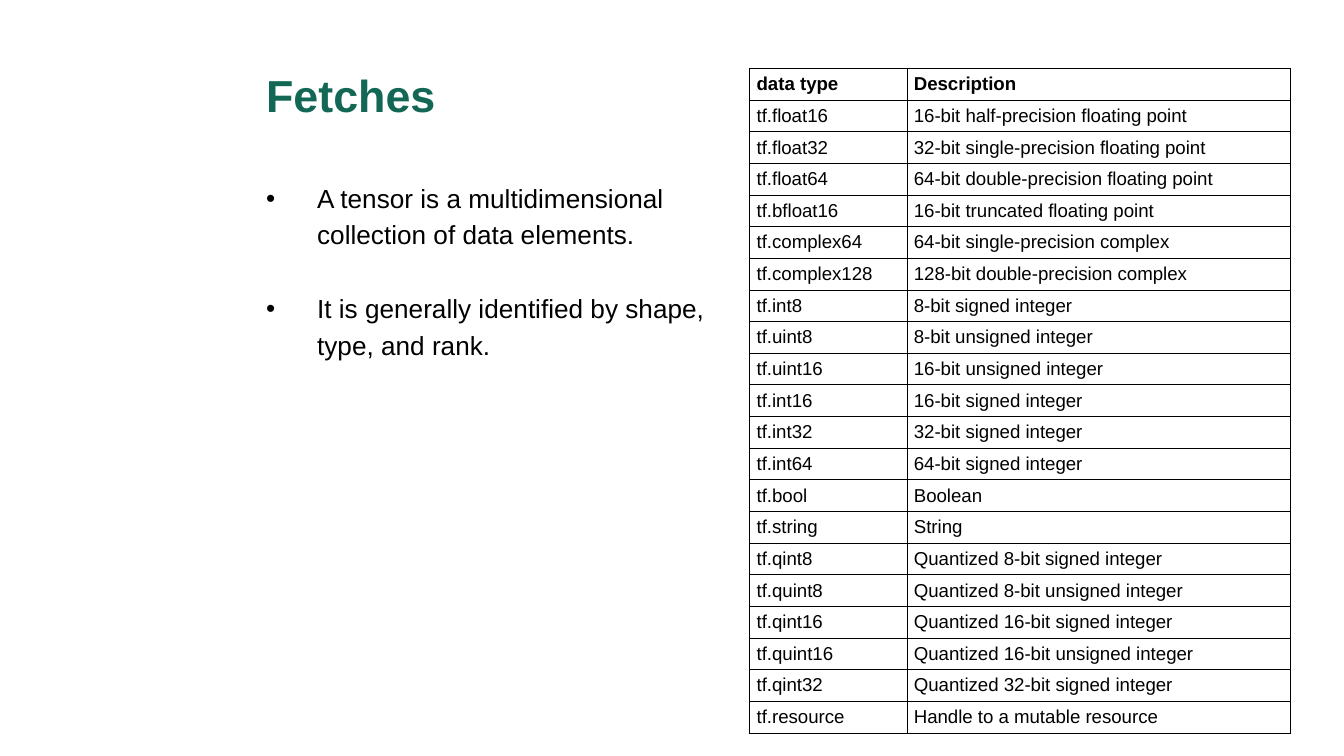
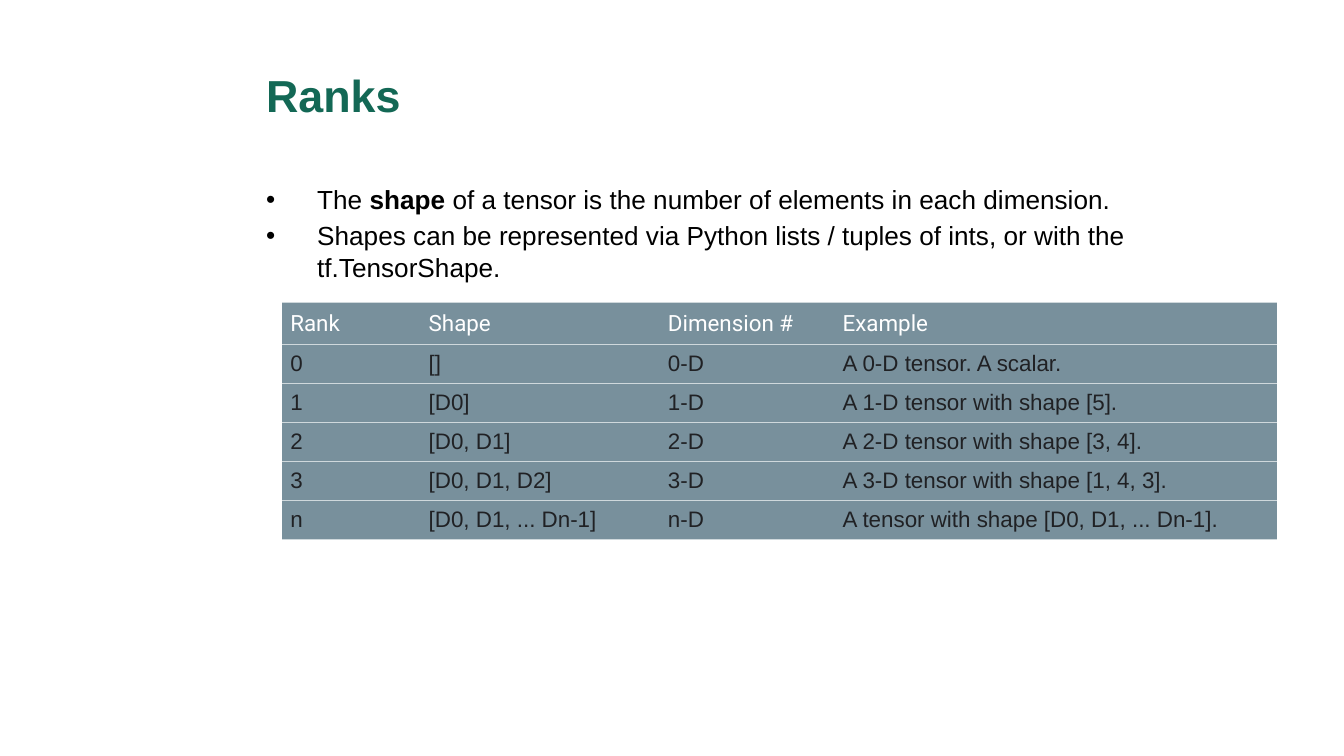
from lxml import etree
from pptx import Presentation
from pptx.dml.color import RGBColor
from pptx.enum.text import MSO_ANCHOR, MSO_AUTO_SIZE, PP_ALIGN
from pptx.oxml.ns import qn
from pptx.util import Inches, Pt

MIDDLE, TOP = MSO_ANCHOR.MIDDLE, MSO_ANCHOR.TOP
LEFT = PP_ALIGN.LEFT
NO_FIT = MSO_AUTO_SIZE.NONE

GREEN, BLACK, WHITE = "136855", "000000", "FFFFFF"
SLATE, RULE, INK = "78909C", "CFD8DC", "202124"
SLIDE_WIDTH = 10
SLIDE_HEIGHT = SLIDE_WIDTH * 9 / 16
BULLET_INDENT = 0.38
TITLE_BOX = (1.88, 0.23, 7.62, 0.94)
BODY_BOX = (1.88, 1.31, 7.62, 3.71)

TITLE_FONT = {"name": "Arial", "size": Pt(24), "bold": True}
BODY_FONT = {"name": "Arial", "size": Pt(14), "bold": False}

TYPES_STYLE = {
    "borders": {"L": BLACK, "R": BLACK, "T": BLACK, "B": BLACK},
    "border_width": 0.6,
    "fill": WHITE,
    "header": {
        "font": {"name": "Arial", "size": Pt(10), "bold": True},
        "colour": BLACK, "anchor": MIDDLE, "insets": (0.05, 0.03, 0.05, 0.03),
    },
    "rows": {
        "font": {"name": "Arial", "size": Pt(10), "bold": False},
        "colour": BLACK, "anchor": MIDDLE, "insets": (0.05, 0.03, 0.05, 0.03),
    },
}
RANKS_STYLE = {
    "borders": {"L": None, "R": None, "T": RULE, "B": RULE},
    "border_width": 0.5,
    "fill": SLATE,
    "header": {
        "font": {"name": "Roboto", "size": Pt(12), "bold": False},
        "colour": WHITE, "anchor": MIDDLE, "insets": (0.06, 0.06, 0.06, 0.06),
    },
    "rows": {
        "font": {"name": "Arial", "size": Pt(12), "bold": False},
        "colour": INK, "anchor": TOP, "insets": (0.06, 0.05, 0.06, 0.05),
    },
}

DATA_TYPES = [
    ("data type", "Description"),
    ("tf.float16", "16-bit half-precision floating point"),
    ("tf.float32", "32-bit single-precision floating point"),
    ("tf.float64", "64-bit double-precision floating point"),
    ("tf.bfloat16", "16-bit truncated floating point"),
    ("tf.complex64", "64-bit single-precision complex"),
    ("tf.complex128", "128-bit double-precision complex"),
    ("tf.int8", "8-bit signed integer"),
    ("tf.uint8", "8-bit unsigned integer"),
    ("tf.uint16", "16-bit unsigned integer"),
    ("tf.int16", "16-bit signed integer"),
    ("tf.int32", "32-bit signed integer"),
    ("tf.int64", "64-bit signed integer"),
    ("tf.bool", "Boolean"),
    ("tf.string", "String"),
    ("tf.qint8", "Quantized 8-bit signed integer"),
    ("tf.quint8", "Quantized 8-bit unsigned integer"),
    ("tf.qint16", "Quantized 16-bit signed integer"),
    ("tf.quint16", "Quantized 16-bit unsigned integer"),
    ("tf.qint32", "Quantized 32-bit signed integer"),
    ("tf.resource", "Handle to a mutable resource"),
]
RANKS = [
    ("Rank", "Shape", "Dimension #", "Example"),
    ("0", "[]", "0-D", "A 0-D tensor. A scalar."),
    ("1", "[D0]", "1-D", "A 1-D tensor with shape [5]."),
    ("2", "[D0, D1]", "2-D", "A 2-D tensor with shape [3, 4]."),
    ("3", "[D0, D1, D2]", "3-D", "A 3-D tensor with shape [1, 4, 3]."),
    ("n", "[D0, D1, ... Dn-1]", "n-D", "A tensor with shape [D0, D1, ... Dn-1]."),
]


def set_attributes(target, values):
    for name, value in values.items():
        setattr(target, name, value)


def paint(colour_format, hex_colour):
    colour_format.rgb = RGBColor.from_string(hex_colour)


def place(shape, box):
    sides = ("left", "top", "width", "height")
    set_attributes(shape, dict(zip(sides, map(Inches, box))))


def add_run(paragraph, text, font, colour):
    run = paragraph.add_run()
    run.text = text
    set_attributes(run.font, font)
    paint(run.font.color, colour)
    return run


def add_title(slide, text):
    title = slide.shapes.title
    place(title, TITLE_BOX)
    frame = title.text_frame
    set_attributes(frame, {"auto_size": NO_FIT, "word_wrap": True, "vertical_anchor": MIDDLE})
    paragraph = frame.paragraphs[0]
    paragraph.alignment = LEFT
    add_run(paragraph, text, TITLE_FONT, GREEN)


def add_bullets(slide, box, bullets, line_height, gap, top_inset=0.05, right_inset=0.1):
    body = slide.placeholders[1]
    place(body, box)
    frame = body.text_frame
    set_attributes(frame, {
        "auto_size": NO_FIT, "word_wrap": True, "vertical_anchor": TOP,
        "margin_top": Inches(top_inset), "margin_right": Inches(right_inset),
    })
    for index, parts in enumerate(bullets):
        paragraph = frame.add_paragraph() if index else frame.paragraphs[0]
        properties = paragraph._p.get_or_add_pPr()
        properties.set("marL", str(Inches(BULLET_INDENT)))
        properties.set("indent", str(-Inches(BULLET_INDENT)))
        etree.SubElement(properties, qn("a:buFont"), typeface="Arial")
        etree.SubElement(properties, qn("a:buChar"), char="•")
        set_attributes(paragraph, {
            "alignment": LEFT,
            "line_spacing": Pt(line_height),
            "space_before": Pt(gap if index else 0),
        })
        for text, bold in parts:
            add_run(paragraph, text, BODY_FONT, BLACK).font.bold = bold


def add_borders(cell, borders, width):
    properties = cell._tc.get_or_add_tcPr()
    for side, colour in borders.items():
        line = etree.SubElement(properties, qn(f"a:ln{side}"), w=str(Pt(width)))
        if colour:
            fill = etree.SubElement(line, qn("a:solidFill"))
            etree.SubElement(fill, qn("a:srgbClr"), val=colour)
        else:
            etree.SubElement(line, qn("a:noFill"))


def fill_cell(cell, text, style, part):
    add_borders(cell, style["borders"], style["border_width"])
    cell.fill.solid()
    paint(cell.fill.fore_color, style["fill"])
    margins = ("margin_left", "margin_top", "margin_right", "margin_bottom")
    set_attributes(cell, dict(zip(margins, map(Inches, part["insets"]))))
    cell.vertical_anchor = part["anchor"]
    add_run(cell.text_frame.paragraphs[0], text, part["font"], part["colour"])


def add_grid(slide, box, records, widths, heights, style):
    frame = slide.shapes.add_table(len(records), len(widths), *map(Inches, box))
    table = frame.table
    set_attributes(table, {"first_row": False, "horz_banding": False})
    for column, width in zip(table.columns, widths):
        column.width = Inches(width)
    for index, (row, height, record) in enumerate(zip(table.rows, heights, records)):
        row.height = Inches(height)
        part = style["rows" if index else "header"]
        for cell, text in zip(row.cells, record):
            fill_cell(cell, text, style, part)


def add_fetches(slide):
    add_title(slide, "Fetches")
    bullets = [
        [("A tensor is a multidimensional collection of data elements.", False)],
        [("It is generally identified by shape, type, and rank.", False)],
    ]
    add_bullets(slide, BODY_BOX, bullets, 19.5, 20, top_inset=0.01, right_inset=4.07)
    box = (5.58, 0.51, 4.02, 4.95)
    heights = [box[3] / len(DATA_TYPES)] * len(DATA_TYPES)
    add_grid(slide, box, DATA_TYPES, (1.17, 2.85), heights, TYPES_STYLE)


def add_ranks(slide):
    add_title(slide, "Ranks")
    bullets = [
        [("The ", False), ("shape", True),
         (" of a tensor is the number of elements in each dimension.", False)],
        [("Shapes can be represented via Python lists / tuples of ints, "
          "or with the tf.TensorShape.", False)],
    ]
    add_bullets(slide, BODY_BOX, bullets, 17.2, 2)
    heights = [0.31] + [0.29] * (len(RANKS) - 1)
    add_grid(slide, (2.1, 2.25, 7.4, sum(heights)), RANKS,
             (1.03, 1.78, 1.3, 3.29), heights, RANKS_STYLE)


def main():
    deck = Presentation()
    set_attributes(deck, {
        "slide_width": Inches(SLIDE_WIDTH), "slide_height": Inches(SLIDE_HEIGHT),
    })
    for build in (add_fetches, add_ranks):
        build(deck.slides.add_slide(deck.slide_layouts[1]))
    deck.save("out.pptx")


if __name__ == "__main__":
    main()
